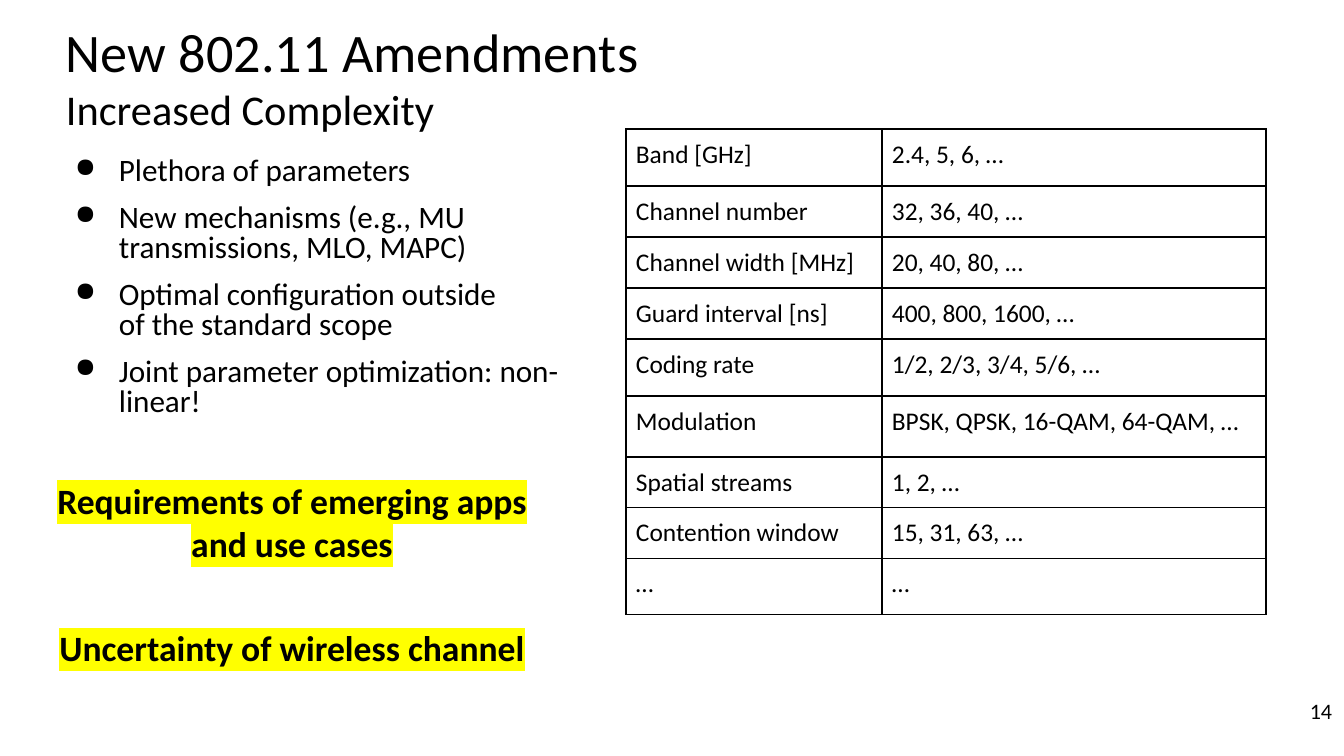
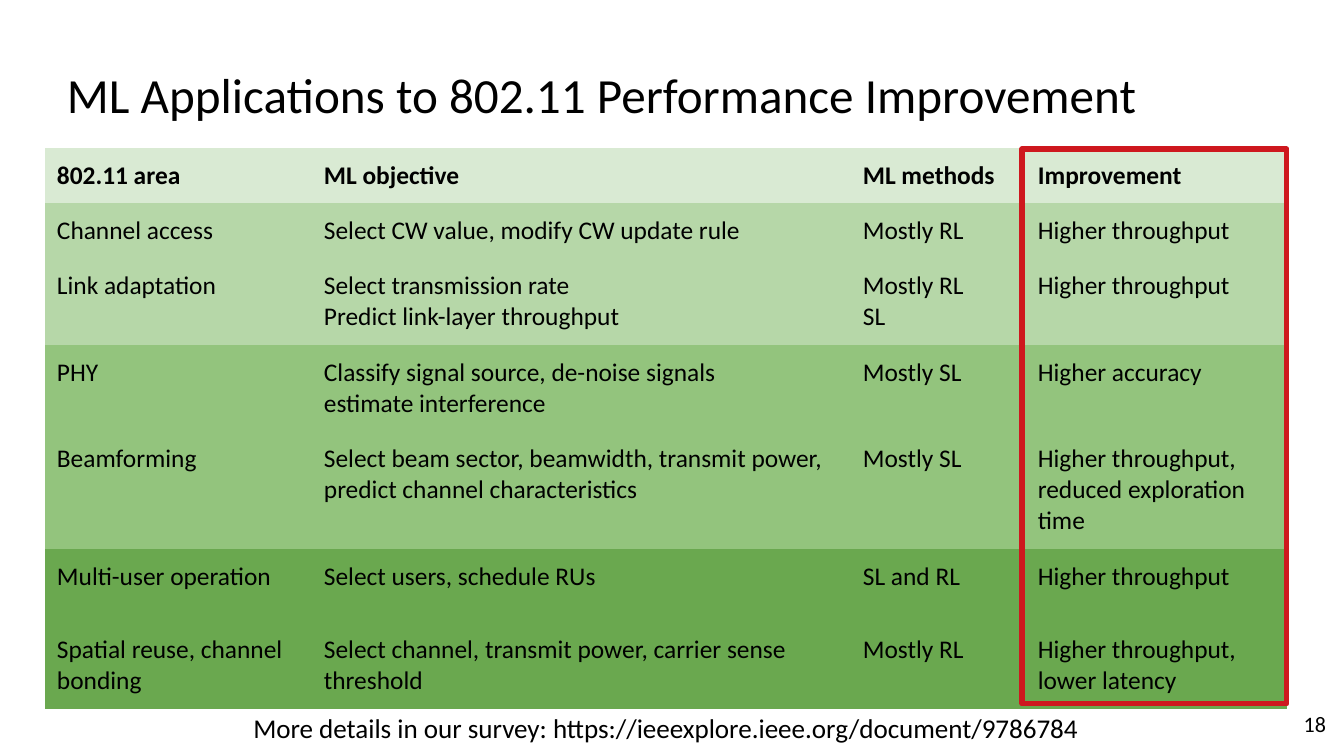
"""Build two slides on 802.11 amendments and machine learning."""
import pptx
import pptx.dml.color
import pptx.enum.shapes
import pptx.enum.text
import pptx.oxml.ns
import pptx.util
from lxml import etree

RGB = pptx.dml.color.RGBColor
BLACK = RGB(0x00, 0x00, 0x00)
YELLOW = RGB(0xFF, 0xFF, 0x00)
RED = RGB(0xCE, 0x18, 0x1E)
MIST = RGB(0xD9, 0xEA, 0xD3)
LIGHT = RGB(0xB6, 0xD7, 0xA8)
MID = RGB(0x93, 0xC4, 0x7D)
DEEP = RGB(0x6A, 0xA8, 0x4F)

SCALE = 914400 / 122
PLAIN = "{2D5ABB26-0587-4C30-8999-92F81FD0307C}"
ALIGN = pptx.enum.text.PP_ALIGN
ANCHOR = pptx.enum.text.MSO_ANCHOR
Pt = pptx.util.Pt


def px(n):
    return pptx.util.Emu(round(n * SCALE))


def put(item, **form):
    for name, value in form.items():
        setattr(item, name, value)


def node(tag, **form):
    return etree.Element(pptx.oxml.ns.qn(tag), {k: str(v) for k, v in form.items()})


def tint(tag, color):
    item = node(tag)
    item.append(node("a:srgbClr", val=color))
    return item


class Deck:
    def __init__(self, wide, high):
        self.file = pptx.Presentation()
        put(self.file, slide_width=px(wide), slide_height=px(high))
        self.slide = None

    def page(self):
        self.slide = self.file.slides.add_slide(self.file.slide_layouts[6])

    def fill(self, frame, text, size, bold=False, **form):
        for i, line in enumerate(text.split("\n")):
            para = frame.add_paragraph() if i else frame.paragraphs[0]
            para.text = line
            put(para, **form)
            for run in para.runs:
                put(run.font, size=Pt(size), bold=bold, name="Calibri")
                run.font.color.rgb = BLACK

    def text(self, box, text, size, pad=(0, 0), anchor=ANCHOR.TOP, **form):
        frame = self.slide.shapes.add_textbox(*map(px, box)).text_frame
        side, edge = map(px, pad)
        put(frame, word_wrap=True, vertical_anchor=anchor, margin_left=side,
            margin_right=side, margin_top=edge, margin_bottom=edge)
        self.fill(frame, text, size, **form)
        return frame

    def title(self, box, *lines):
        text = "\n".join(line for line, size in lines)
        frame = self.text(box, text, 32, anchor=ANCHOR.MIDDLE)
        for para, (line, size) in zip(frame.paragraphs, lines):
            para.runs[0].font.size = Pt(size)

    def number(self, right, top, value):
        self.text((right - 80, top, 80, 27), value, 13, alignment=ALIGN.RIGHT)

    def bullets(self, box, text, size):
        frame = self.text(box, text, size, pad=(10, 5), line_spacing=0.8)
        for i, para in enumerate(frame.paragraphs):
            para.space_before = Pt(10 if i else 0)
            props = para._p.get_or_add_pPr()
            props.set("marL", str(px(61)))
            props.set("indent", str(px(-44)))
            props.append(tint("a:buClr", BLACK))
            props.append(node("a:buSzPct", val=86000))
            props.append(node("a:buChar", char="●"))

    def mark(self, box, text):
        frame = self.text(box, text, 21, pad=(12, 6), anchor=ANCHOR.MIDDLE,
                          bold=True, alignment=ALIGN.CENTER)
        for run in frame.paragraphs[0].runs:
            solid = run._r.rPr.find(pptx.oxml.ns.qn("a:solidFill"))
            solid.addnext(tint("a:highlight", YELLOW))

    def table(self, at, cols, highs, rows, pad, fills=None, head=False, grid=False):
        box = (*at, sum(cols), sum(highs))
        table = self.slide.shapes.add_table(len(rows), len(cols), *map(px, box)).table
        put(table, first_row=head, horz_banding=False)
        table._tbl.tblPr.find(pptx.oxml.ns.qn("a:tableStyleId")).text = PLAIN
        for col, wide in zip(table.columns, cols):
            col.width = px(wide)
        for r, (row, high) in enumerate(zip(rows, highs)):
            table.rows[r].height = px(high)
            for c, text in enumerate(row):
                cell = table.cell(r, c)
                put(cell, **{f"margin_{s}": px(pad) for s in ("left", "right", "top", "bottom")})
                self.fill(cell.text_frame, text, 15, bold=head and r == 0)
                if grid:
                    self.edge(cell)
                if fills:
                    cell.fill.solid()
                    cell.fill.fore_color.rgb = fills[r]
                else:
                    cell.fill.background()

    def edge(self, cell):
        props = cell._tc.get_or_add_tcPr()
        for side in "LRTB":
            line = node(f"a:ln{side}", w=Pt(1))
            line.append(tint("a:solidFill", BLACK))
            props.append(line)

    def frame(self, box, color, width):
        kind = pptx.enum.shapes.MSO_SHAPE.RECTANGLE
        shape = self.slide.shapes.add_shape(kind, *map(px, box))
        shape.shadow.inherit = False
        shape.fill.background()
        shape.line.color.rgb = color
        shape.line.width = Pt(width)
        shape.line._get_or_add_ln().append(node("a:round"))


PARAMS = [
    ("Band [GHz]", "2.4, 5, 6, …"),
    ("Channel number", "32, 36, 40, …"),
    ("Channel width [MHz]", "20, 40, 80, …"),
    ("Guard interval [ns]", "400, 800, 1600, …"),
    ("Coding rate", "1/2, 2/3, 3/4, 5/6, …"),
    ("Modulation", "BPSK, QPSK, 16-QAM, 64-QAM, …"),
    ("Spatial streams", "1, 2, …"),
    ("Contention window", "15, 31, 63, …"),
    ("…", "…"),
]
AREAS = [
    ("802.11 area", "ML objective", "ML methods", "Improvement"),
    ("Channel access", "Select CW value, modify CW update rule", "Mostly RL",
     "Higher throughput"),
    ("Link adaptation", "Select transmission rate\nPredict link-layer throughput",
     "Mostly RL\nSL", "Higher throughput"),
    ("PHY", "Classify signal source, de-noise signals\nestimate interference",
     "Mostly SL", "Higher accuracy"),
    ("Beamforming", "Select beam sector, beamwidth, transmit power, "
     "predict channel characteristics", "Mostly SL",
     "Higher throughput, reduced exploration time"),
    ("Multi-user operation", "Select users, schedule RUs", "SL and RL",
     "Higher throughput"),
    ("Spatial reuse, channel bonding",
     "Select channel, transmit power, carrier sense threshold", "Mostly RL",
     "Higher throughput, lower latency"),
]
POINTS = """Plethora of parameters
New mechanisms (e.g., MU transmissions, MLO, MAPC)
Optimal configuration outside\vof the standard scope
Joint parameter optimization: non-linear!"""
NEEDS = ["Requirements of emerging apps and use cases",
         "Uncertainty of wireless channel"]


def main():
    deck = Deck(1344, 756)

    deck.page()
    deck.title((66, 24, 1224, 105), ("New 802.11 Amendments", 32),
               ("Increased Complexity", 25))
    deck.bullets((48, 153, 539, 300), POINTS, 18.4)
    deck.table((626, 129), (256, 384), (57, 51, 51, 51, 57, 61, 51, 51, 56),
               PARAMS, 10, grid=True)
    for i, need in enumerate(NEEDS):
        deck.mark((40, 477 + 126 * i, 504, 89), need)
    deck.number(1332, 698, "14")

    deck.page()
    deck.title((67, 30, 1210, 127), ("ML Applications to 802.11 Performance Improvement", 29))
    deck.table((45, 148), (267, 539, 175, 261), (55, 55, 87, 86, 118, 73, 87),
               AREAS, 12, [MIST, LIGHT, LIGHT, MID, MID, DEEP, DEEP], head=True)
    deck.text((45, 699, 1242, 57),
              "More details in our survey: https://ieeexplore.ieee.org/document/9786784",
              16, pad=(12, 12), alignment=ALIGN.CENTER)
    deck.frame((1022, 149, 265, 555), RED, 3)
    deck.number(1326, 711, "18")

    deck.file.save("out.pptx")


if __name__ == "__main__":
    main()
